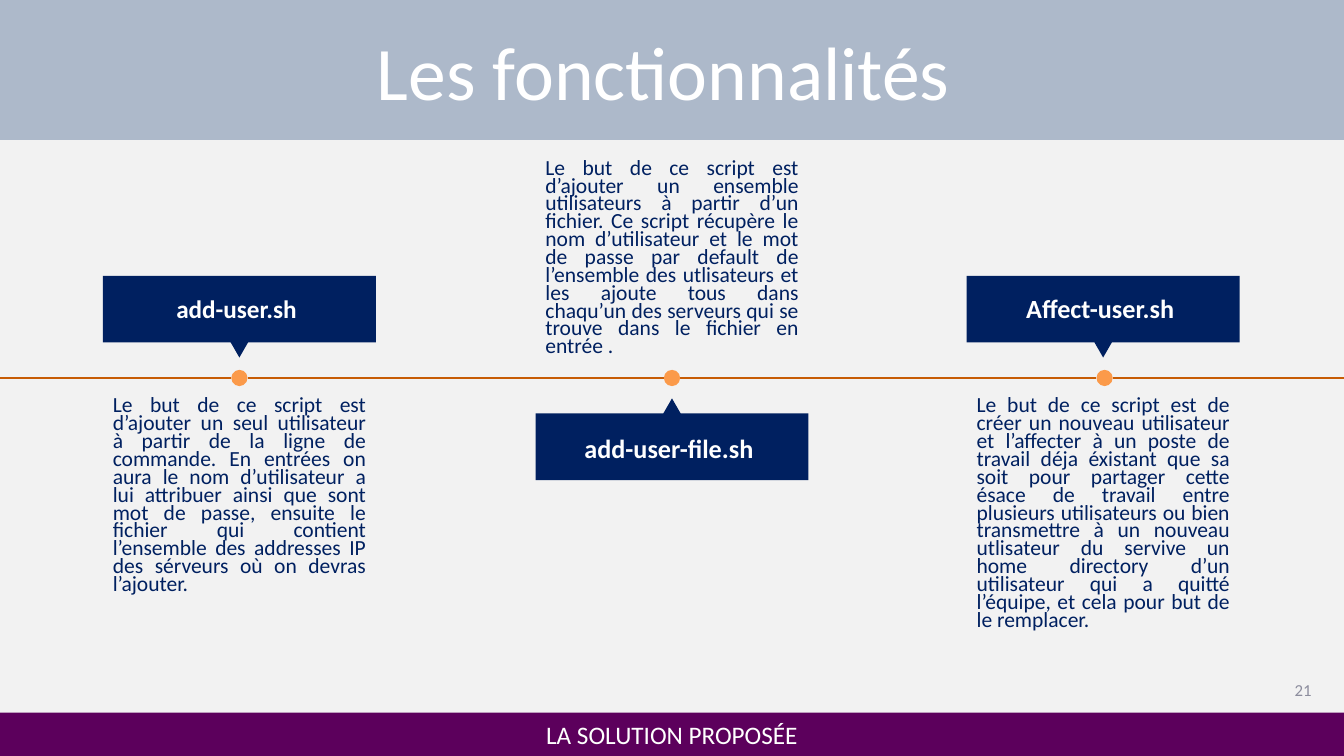
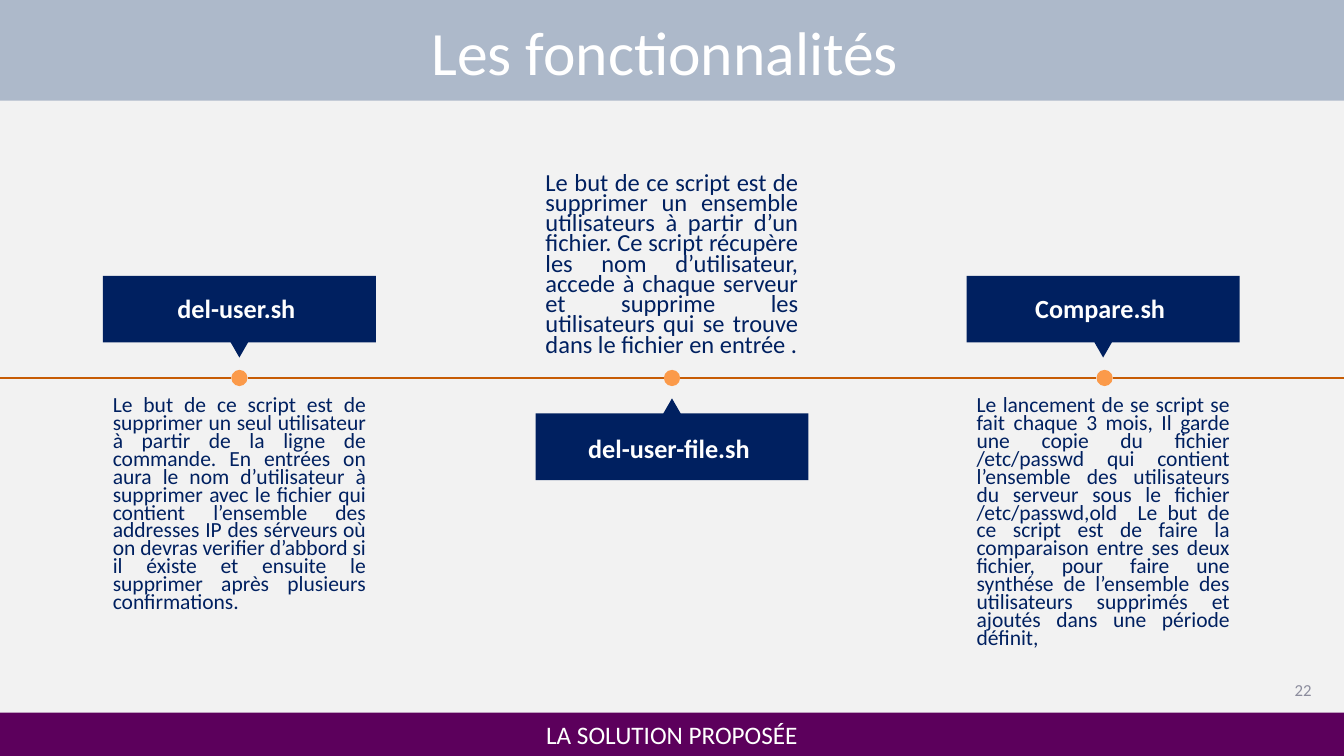
from lxml.etree import SubElement
from pptx import Presentation
from pptx.dml.color import RGBColor
from pptx.enum.shapes import MSO_CONNECTOR, MSO_SHAPE
from pptx.enum.text import MSO_ANCHOR, PP_ALIGN
from pptx.oxml.ns import qn
from pptx.util import Pt

PAPER = RGBColor(0xF2, 0xF2, 0xF2)
BAND = RGBColor(0xAD, 0xB9, 0xCA)
NAVY = RGBColor(0x00, 0x20, 0x60)
PURPLE = RGBColor(0x5C, 0x00, 0x5C)
ORANGE = RGBColor(0xFB, 0x9A, 0x4A)
RUST = RGBColor(0xC7, 0x5C, 0x04)
GREY = RGBColor(0x8C, 0x8D, 0x9D)
WHITE = RGBColor(0xFF, 0xFF, 0xFF)

TITLE = "Les fonctionnalités "
FOOTER = "LA SOLUTION PROPOSÉE"
SLIDES = [
    {
        "number": "21", "band": 100, "title_size": 54,
        "scripts": [
            ("add-user.sh ", 18, 15.4,
             "Le but de ce script est d’ajouter un seul utilisateur à partir de la ligne de "
             "commande. En entrées on aura le nom d’utilisateur a lui attribuer ainsi que sont "
             "mot de passe, ensuite le fichier qui contient l’ensemble des addresses IP des "
             "sérveurs où on devras l’ajouter."),
            ("add-user-file.sh ", 18.7, 15.4,
             "Le but de ce script est d’ajouter un ensemble utilisateurs à partir d’un fichier. "
             "Ce script récupère le nom d’utilisateur et le mot de passe par default de "
             "l’ensemble des utlisateurs et les ajoute tous dans chaqu’un des serveurs qui se "
             "trouve dans le fichier en entrée ."),
            ("Affect-user.sh ", 18.7, 15.4,
             "Le but de ce script est de créer un nouveau utilisateur et l’affecter à un poste "
             "de travail déja éxistant que sa soit pour partager cette ésace de travail entre "
             "plusieurs utilisateurs ou bien transmettre à un nouveau utlisateur du servive un "
             "home directory d’un utilisateur qui a quitté l’équipe, et cela pour but de le "
             "remplacer."),
        ],
    },
    {
        "number": "22", "band": 72, "title_size": 44,
        "scripts": [
            ("del-user.sh ", 18.7, 15.4,
             "Le but de ce script est de supprimer un seul utilisateur à partir de la ligne de "
             "commande. En entrées on aura le nom d’utilisateur à supprimer avec le fichier qui "
             "contient l’ensemble des addresses IP des sérveurs où on devras verifier d’abbord "
             "si il éxiste et ensuite le supprimer après plusieurs confirmations."),
            ("del-user-file.sh ", 18.7, 17.5,
             "Le but de ce script est de supprimer un ensemble utilisateurs à partir d’un "
             "fichier. Ce script récupère les nom d’utilisateur, accede à chaque serveur et "
             "supprime les utilisateurs qui se trouve dans le fichier en entrée ."),
            ("Compare.sh ", 18.7, 15.4,
             "Le lancement de se script se fait chaque 3 mois, Il garde une copie du fichier "
             "/etc/passwd qui contient l’ensemble des utilisateurs du serveur sous le fichier "
             "/etc/passwd,old  Le but de ce script est de faire la comparaison entre ses deux "
             "fichier, pour faire une synthése de l’ensemble des utilisateurs supprimés et "
             "ajoutés dans une période définit,"),
        ],
    },
]

WIDTH, HEIGHT = 960, 540
AXIS = HEIGHT / 2
DOT = 11.6
COLUMNS = [(171, 171, -1), (480, 480, 1), (789, 788, -1)]
CALLOUT_WIDTH, TIP_HALF = 195, 6.2
TIP, BASE, OUTER = 14.6, 25.4, 73
LABEL_WIDTH, LABEL_HEIGHT, LABEL_OFFSET = 180, 32.4, 50
STORY_OFFSET, STORY_HEIGHT = 11.2, 185

BODY = {"align": PP_ALIGN.JUSTIFY, "spacing": 0.69, "color": NAVY}
LABEL = {"bold": True}
FOLIO = {"align": PP_ALIGN.RIGHT, "color": GREY}


def write(shape, text, size, align=PP_ALIGN.CENTER, anchor=MSO_ANCHOR.MIDDLE,
          color=WHITE, bold=False, spacing=1.0):
    frame = shape.text_frame
    frame.word_wrap = True
    frame.vertical_anchor = anchor
    para = frame.paragraphs[0]
    span = para.add_run()
    span.text = text
    formats = {
        para: {"alignment": align, "line_spacing": spacing},
        span.font: {"name": "Calibri", "size": Pt(size), "bold": bold},
    }
    for target, values in formats.items():
        for name, value in values.items():
            setattr(target, name, value)
    span.font.color.rgb = color


def paint(shape, color):
    shape.shadow.inherit = False
    shape.fill.solid()
    shape.fill.fore_color.rgb = color
    shape.line.fill.background()
    return shape


def add_preset(page, kind, left, top, width, height, color):
    return paint(page.shapes.add_shape(kind, Pt(left), Pt(top), Pt(width), Pt(height)), color)


def add_text(page, left, top, width, height, text, size, **style):
    box = page.shapes.add_textbox(Pt(left), Pt(top), Pt(width), Pt(height))
    write(box, text, size, **style)


def add_axis(page):
    dots = [dot for dot, _, _ in COLUMNS]
    starts = [0] + [dot + DOT / 2 for dot in dots]
    ends = [dot - DOT / 2 for dot in dots] + [WIDTH]
    for start, end in zip(starts, ends):
        line = page.shapes.add_connector(
            MSO_CONNECTOR.STRAIGHT, Pt(start), Pt(AXIS), Pt(end), Pt(AXIS))
        line.line.color.rgb = RUST
        line.line.width = Pt(1)
        SubElement(line._element.spPr, qn("a:effectLst"))
    for dot in dots:
        add_preset(page, MSO_SHAPE.OVAL, dot - DOT / 2, AXIS - DOT / 2, DOT, DOT, ORANGE)


def add_callout(page, center, side):
    half = CALLOUT_WIDTH / 2
    outline = [(-half, OUTER), (half, OUTER), (half, BASE), (TIP_HALF, BASE),
               (0, TIP), (-TIP_HALF, BASE), (-half, BASE)]
    points = [(Pt(center + x), Pt(AXIS + side * y)) for x, y in outline]
    builder = page.shapes.build_freeform(*points[0])
    builder.add_line_segments(points[1:], close=True)
    paint(builder.convert_to_shape(), NAVY)


def add_script(page, center, side, name, name_size, story_size, story):
    add_callout(page, center, side)
    add_text(page, center - LABEL_WIDTH / 2, AXIS + side * LABEL_OFFSET - LABEL_HEIGHT / 2,
             LABEL_WIDTH, LABEL_HEIGHT, name, name_size, **LABEL)
    above = side > 0
    top = AXIS - STORY_OFFSET - STORY_HEIGHT if above else AXIS + STORY_OFFSET
    anchor = MSO_ANCHOR.BOTTOM if above else MSO_ANCHOR.TOP
    add_text(page, center - CALLOUT_WIDTH / 2, top, CALLOUT_WIDTH, STORY_HEIGHT,
             story, story_size, anchor=anchor, **BODY)


def add_page(deck, content):
    page = deck.slides.add_slide(deck.slide_layouts[6])
    add_axis(page)
    title = add_preset(page, MSO_SHAPE.RECTANGLE, 0, 0, WIDTH, content["band"], BAND)
    write(title, TITLE, content["title_size"])
    add_text(page, 801.4, 465.8, 142.6, 53.3, content["number"], 12, **FOLIO)
    for (_, center, side), script in zip(COLUMNS, content["scripts"]):
        add_script(page, center, side, *script)
    footer = add_preset(page, MSO_SHAPE.RECTANGLE, 0, 509, WIDTH, 31, PURPLE)
    write(footer, FOOTER, 18)


def main():
    deck = Presentation()
    deck.slide_width, deck.slide_height = Pt(WIDTH), Pt(HEIGHT)
    backdrop = deck.slide_master.background.fill
    backdrop.solid()
    backdrop.fore_color.rgb = PAPER
    for content in SLIDES:
        add_page(deck, content)
    deck.save("out.pptx")


if __name__ == "__main__":
    main()
